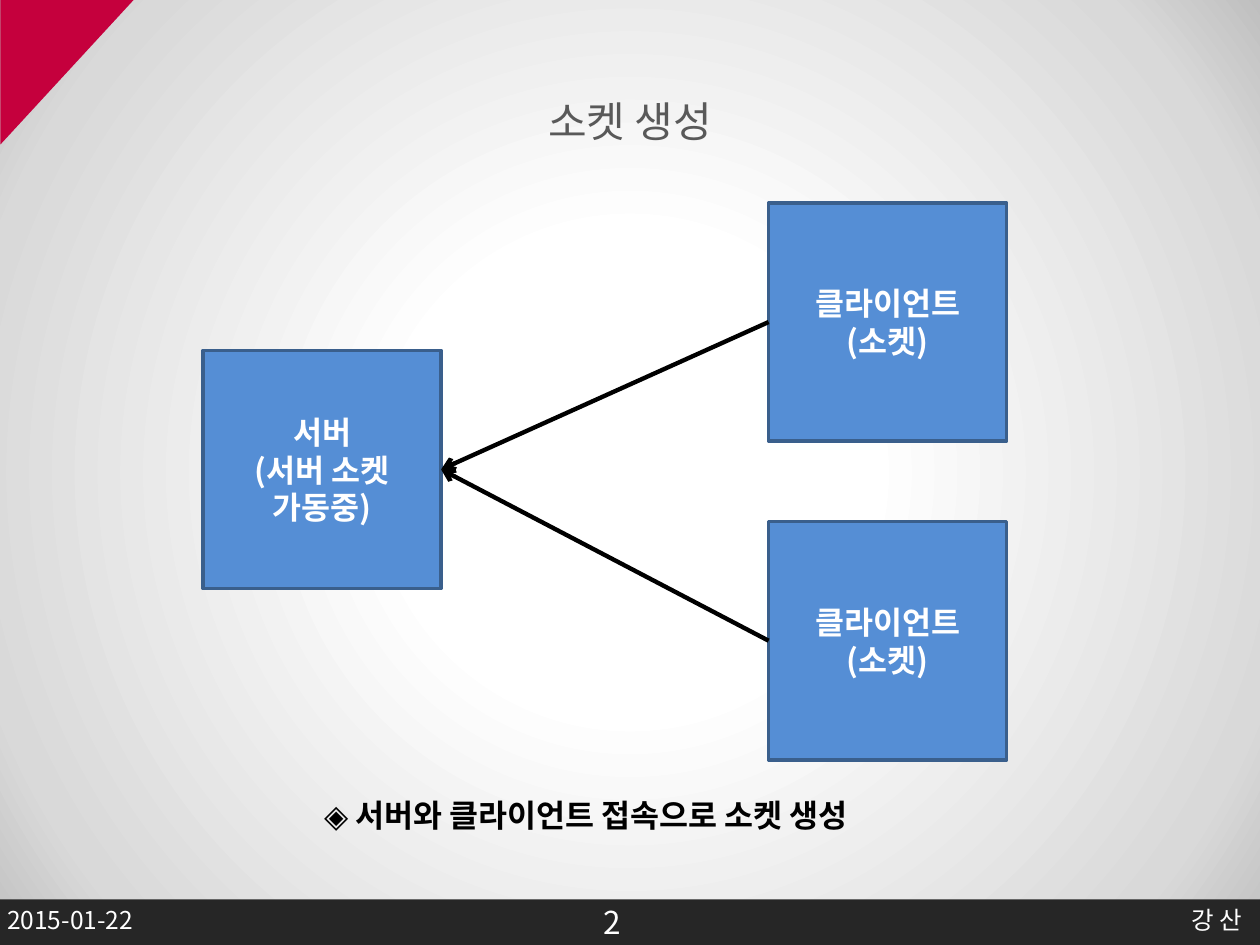
from pptx import Presentation
from pptx.dml.color import RGBColor
from pptx.enum.shapes import MSO_CONNECTOR, MSO_SHAPE
from pptx.enum.text import MSO_ANCHOR, PP_ALIGN
from pptx.oxml import parse_xml
from pptx.oxml.ns import nsdecls, qn
from pptx.util import Pt

RED = RGBColor(0xC5, 0x00, 0x3D)
DARK = RGBColor(0x26, 0x26, 0x26)
GRAY = RGBColor(0x59, 0x59, 0x59)
BLUE = RGBColor(0x55, 0x8E, 0xD5)
EDGE = RGBColor(0x3A, 0x5F, 0x8C)
WHITE = RGBColor(0xFF, 0xFF, 0xFF)
BLACK = RGBColor(0x00, 0x00, 0x00)

SANS = "Noto Sans CJK KR"
LEFT, CENTER, RIGHT = PP_ALIGN.LEFT, PP_ALIGN.CENTER, PP_ALIGN.RIGHT
TOP, MIDDLE = MSO_ANCHOR.TOP, MSO_ANCHOR.MIDDLE
RECT, CORNER = MSO_SHAPE.RECTANGLE, MSO_SHAPE.RIGHT_TRIANGLE
STRAIGHT = MSO_CONNECTOR.STRAIGHT
LEFT_SIDE, RIGHT_SIDE = 1, 3
SIDE = 136.1  # edge of each square box
STOPS = [(30, "FFFFFF"), (85, "D9D9D9"), (100, "BFBFBF")]


def paint(slide):
    """Fill the background with a circular gradient from the centre."""
    stops = "".join(
        f'<a:gs pos="{pos * 1000}"><a:srgbClr val="{tint}"/></a:gs>'
        for pos, tint in STOPS)
    back = parse_xml(
        f'<p:bg {nsdecls("p", "a")}><p:bgPr><a:gradFill rotWithShape="1">'
        f'<a:gsLst>{stops}</a:gsLst><a:path path="circle"><a:fillToRect '
        'l="50000" t="50000" r="50000" b="50000"/></a:path></a:gradFill>'
        '<a:effectLst/></p:bgPr></p:bg>')
    slide.element.find(qn("p:cSld")).insert(0, back)


def write(frame, lines, size, color, align, anchor, bold=False, face=SANS):
    frame.word_wrap = True
    frame.vertical_anchor = anchor
    frame.text = "\n".join(lines)
    for para in frame.paragraphs:
        para.alignment = align
        font = para.font
        font.name, font.size, font.bold = face, Pt(size), bold
        font.color.rgb = color
        # Korean letters take the East Asian typeface
        props = para._p.pPr.find(qn("a:defRPr"))
        props.append(parse_xml(
            f'<a:ea {nsdecls("a")} typeface="{SANS}"/>'))
        for run in para.runs:
            run.font.name, run.font.size, run.font.bold = face, Pt(size), bold
            run.font.color.rgb = color
            run.font._element.append(parse_xml(
                f'<a:ea {nsdecls("a")} typeface="{SANS}"/>'))


def label(slide, text, x, y, w, h, size, color, align, anchor=TOP, **style):
    box = slide.shapes.add_textbox(Pt(x), Pt(y), Pt(w), Pt(h))
    write(box.text_frame, [text], size, color, align, anchor, **style)


def block(slide, kind, x, y, w, h, fill):
    shape = slide.shapes.add_shape(kind, Pt(x), Pt(y), Pt(w), Pt(h))
    shape.shadow.inherit = False
    shape.fill.solid()
    shape.fill.fore_color.rgb = fill
    shape.line.fill.background()
    return shape


def node(slide, lines, x, y):
    box = block(slide, RECT, x, y, SIDE, SIDE, BLUE)
    box.line.color.rgb = EDGE
    box.line.width = Pt(2)
    write(box.text_frame, lines, 18, WHITE, CENTER, MIDDLE, bold=True)
    return box


def arrow(slide, start, end):
    link = slide.shapes.add_connector(STRAIGHT, 0, 0, 0, 0)
    link.begin_connect(start, LEFT_SIDE)
    link.end_connect(end, RIGHT_SIDE)
    link.line.color.rgb = BLACK
    link.line.width = Pt(2.5)
    link.line._get_or_add_ln().append(
        parse_xml(f'<a:tailEnd {nsdecls("a")} type="arrow"/>'))
    link._element.spPr.append(parse_xml(f'<a:effectLst {nsdecls("a")}/>'))


def main():
    deck = Presentation()
    deck.slide_width, deck.slide_height = Pt(720), Pt(540)
    slide = deck.slides.add_slide(deck.slide_layouts[6])

    # Backdrop: gradient, corner and footer bar
    paint(slide)
    block(slide, CORNER, -3, 3, 82.8, 76.3, RED).rotation = 90
    block(slide, RECT, -2, 514, 723, 28, DARK)

    # Title and footer texts
    label(slide, "2", 337.7, 507, 70.5, 39.6, 18, WHITE, LEFT, MIDDLE)
    label(slide, "소켓 생성", 36, 49, 648, 39.6, 24, GRAY, CENTER, MIDDLE)
    label(slide, "2015-01-22", -3, 513.4, 168, 28.8, 14, WHITE, LEFT)
    label(slide, "강 산", 489, 513.4, 228, 28.8, 14, WHITE, RIGHT,
          face="Arial")

    # Server and the clients that reach it
    server = node(slide, ["서버", "(서버 소켓", "가동중)"], 116, 200.2)
    clients = [node(slide, ["클라이언트", "(소켓)"], 439.2, y)
               for y in (298.1, 116)]
    for client in reversed(clients):
        arrow(slide, client, server)

    # Caption
    label(slide, "◈ 서버와 클라이언트 접속으로 소켓 생성",
          150.5, 451.4, 368.6, 28.8, 18, BLACK, CENTER, bold=True)

    deck.save("out.pptx")


if __name__ == "__main__":
    main()
